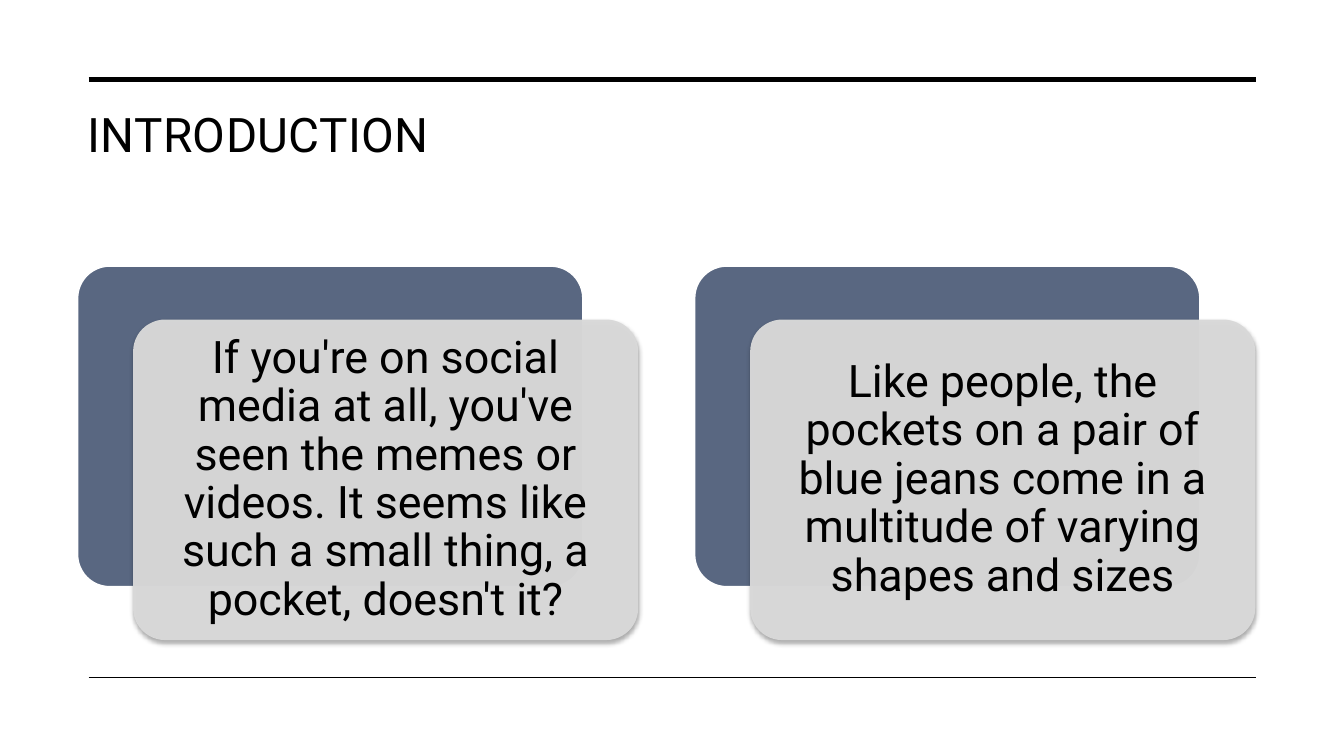
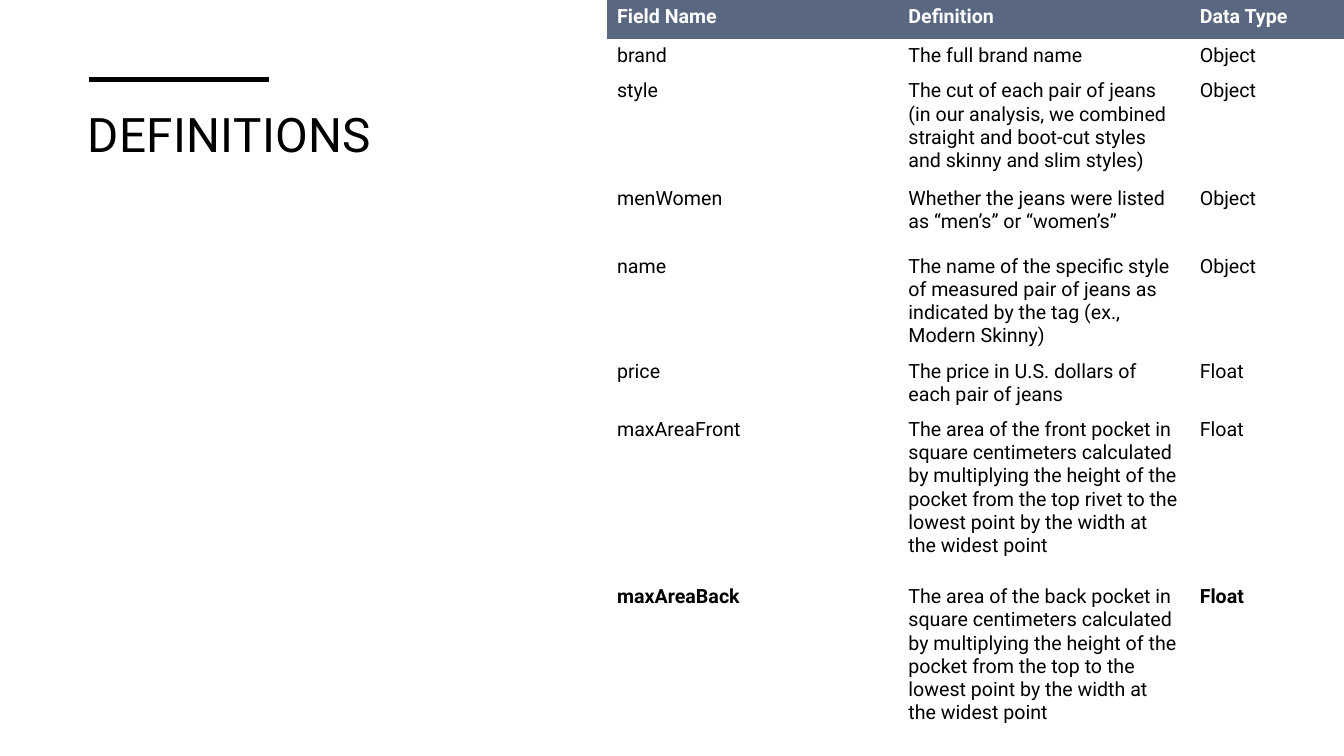
"""Builds an introduction slide and a field definition slide about jeans pockets."""
from dataclasses import dataclass

from lxml import etree
from pptx import Presentation
from pptx.dml.color import RGBColor
from pptx.enum.shapes import MSO_CONNECTOR, MSO_SHAPE
from pptx.enum.text import MSO_ANCHOR, PP_ALIGN
from pptx.oxml.ns import qn
from pptx.util import Inches, Pt

STRAIGHT = MSO_CONNECTOR.STRAIGHT
ROUND = MSO_SHAPE.ROUNDED_RECTANGLE
TOP, MIDDLE = MSO_ANCHOR.TOP, MSO_ANCHOR.MIDDLE
LEFT, CENTER = PP_ALIGN.LEFT, PP_ALIGN.CENTER
PLAIN = "{2D5ABB26-0587-4C30-8999-92F81FD0307C}"


@dataclass(frozen=True)
class Theme:
    font: str = "Roboto"
    ink: str = "000000"
    paper: str = "FFFFFF"
    accent: str = "596781"
    card: str = "D9D9D9"
    title: int = 34
    body: int = 32
    cell: int = 14
    thick: float = 3.5
    thin: float = 1


THEME = Theme()
EDGE = 0.88
RIGHT = 12.46

CARDS = [
    "If you're on social media at all, you've seen the memes or videos. "
    "It seems like such a small thing, a pocket, doesn't it?",
    "Like people, the pockets on a pair of blue jeans come in a multitude "
    "of varying shapes and sizes",
]

COLS = [2.89, 2.89, 1.54]
ROWS = [
    (0.39, "Field Name", "Definition", "Data Type"),
    (0.35, "brand", "The full brand name", "Object"),
    (1.07, "style", "The cut of each pair of jeans (in our analysis, we combined "
     "straight and boot-cut styles and skinny and slim styles)", "Object"),
    (0.67, "menWomen", "Whether the jeans were listed as “men’s” or “women’s”", "Object"),
    (1.04, "name", "The name of the specific style of measured pair of jeans as "
     "indicated by the tag (ex., Modern Skinny)", "Object"),
    (0.58, "price", "The price in U.S. dollars of each pair of jeans", "Float"),
    (1.66, "maxAreaFront", "The area of the front pocket in square centimeters "
     "calculated by multiplying the height of the pocket from the top rivet to the "
     "lowest point by the width at the widest point", "Float"),
    (1.75, "maxAreaBack", "The area of the back pocket in square centimeters "
     "calculated by multiplying the height of the pocket from the top to the "
     "lowest point by the width at the widest point", "Float"),
]


def paint(item, color):
    """Fill a shape or cell with one solid colour."""
    item.fill.solid()
    item.fill.fore_color.rgb = RGBColor.from_string(color)


def write(frame, text, size, color=THEME.ink, bold=False, align=LEFT):
    """Set one paragraph of text and return it with its run formatted."""
    frame.text = text
    frame.word_wrap = True
    para = frame.paragraphs[0]
    para.alignment = align
    font = para.runs[0].font
    font.name, font.size, font.bold = THEME.font, Pt(size), bold
    font.color.rgb = RGBColor.from_string(color)
    return para


def add_rule(slide, left, right, top, width):
    """Draw a horizontal rule without a shadow."""
    rule = slide.shapes.add_connector(
        STRAIGHT, Inches(left), Inches(top), Inches(right), Inches(top))
    rule.line.color.rgb = RGBColor.from_string(THEME.ink)
    rule.line.width = Pt(width)
    etree.SubElement(rule._element.spPr, qn("a:effectLst"))


def add_title(slide, text, width, height, end):
    """Place the slide title below its thick rule."""
    add_rule(slide, EDGE, end, 0.79, THEME.thick)
    box = slide.shapes.add_textbox(
        Inches(0.77), Inches(0.99), Inches(width), Inches(height))
    box.text_frame.vertical_anchor = TOP
    para = write(box.text_frame, text, THEME.title)
    para.runs[0].font._element.set("spc", "30")


def add_panel(slide, left, top, width, height, color):
    """Add a rounded panel of one colour."""
    panel = slide.shapes.add_shape(
        ROUND, Inches(left), Inches(top), Inches(width), Inches(height))
    panel.adjustments[0] = 0.1
    panel.shadow.inherit = False
    paint(panel, color)
    return panel


def add_glass(panel):
    """Make a panel slightly clear and give it a soft shadow below."""
    props = panel._element.spPr
    tint = props.find(qn("a:solidFill"))[0]
    etree.SubElement(tint, qn("a:alpha"), val="97000")
    shade = etree.SubElement(
        props.find(qn("a:effectLst")), qn("a:outerShdw"), blurRad=str(Pt(3.5)),
        dist=str(Pt(2.2)), dir="5400000", rotWithShape="0")
    black = etree.SubElement(shade, qn("a:srgbClr"), val=THEME.ink)
    etree.SubElement(black, qn("a:alpha"), val="32000")


def add_card(slide, text, left, top, width, height):
    """Add a text card that overlaps a coloured panel within the given box."""
    shift = 0.55, 0.53
    size = width - shift[0], height - shift[1]
    back = add_panel(slide, left, top, *size, THEME.accent)
    back.line.color.rgb = RGBColor.from_string(THEME.paper)
    back.line.width = Pt(THEME.thin)
    front = add_panel(slide, left + shift[0], top + shift[1], *size, THEME.card)
    front.line.fill.background()
    add_glass(front)
    frame = front.text_frame
    frame.vertical_anchor = MIDDLE
    frame.margin_left = frame.margin_right = Inches(0.13)
    frame.margin_top = frame.margin_bottom = Inches(0.13)
    write(frame, text, THEME.body, align=CENTER).line_spacing = 0.9


def add_fields(slide, left, top):
    """Add the field table with a coloured header and an emphasised last row."""
    last = len(ROWS) - 1
    table = slide.shapes.add_table(
        len(ROWS), len(COLS), Inches(left), Inches(top),
        Inches(sum(COLS)), Inches(sum(row[0] for row in ROWS))).table
    table._tbl.tblPr.find(qn("a:tableStyleId")).text = PLAIN
    table.horz_banding = False
    for col, width in zip(table.columns, COLS):
        col.width = Inches(width)
    for r, (height, *texts) in enumerate(ROWS):
        table.rows[r].height = Inches(height)
        head = r == 0
        for c, text in enumerate(texts):
            cell = table.cell(r, c)
            paint(cell, THEME.accent if head else THEME.paper)
            bold = head or (r == last and c != 1)
            write(cell.text_frame, text, THEME.cell,
                  THEME.paper if head else THEME.ink, bold)


def make_intro(slide):
    """Build the introduction with two cards between two rules."""
    add_title(slide, "INTRODUCTION", 11.69, 1.26, RIGHT)
    add_rule(slide, EDGE, RIGHT, 6.72, THEME.thin)
    for i, text in enumerate(CARDS):
        add_card(slide, text, 0.77 + i * 6.12, 2.64, 5.56, 3.71)


def make_terms(slide):
    """Build the definitions with a narrow title beside the table."""
    add_title(slide, "DEFINITIONS", 4.18, 3.67, 2.67)
    add_fields(slide, 6.02, 0)


def main():
    """Create and save the presentation."""
    deck = Presentation()
    deck.slide_width, deck.slide_height = Inches(13.33), Inches(7.5)
    for make in (make_intro, make_terms):
        make(deck.slides.add_slide(deck.slide_layouts[6]))
    deck.save("out.pptx")


if __name__ == "__main__":
    main()
